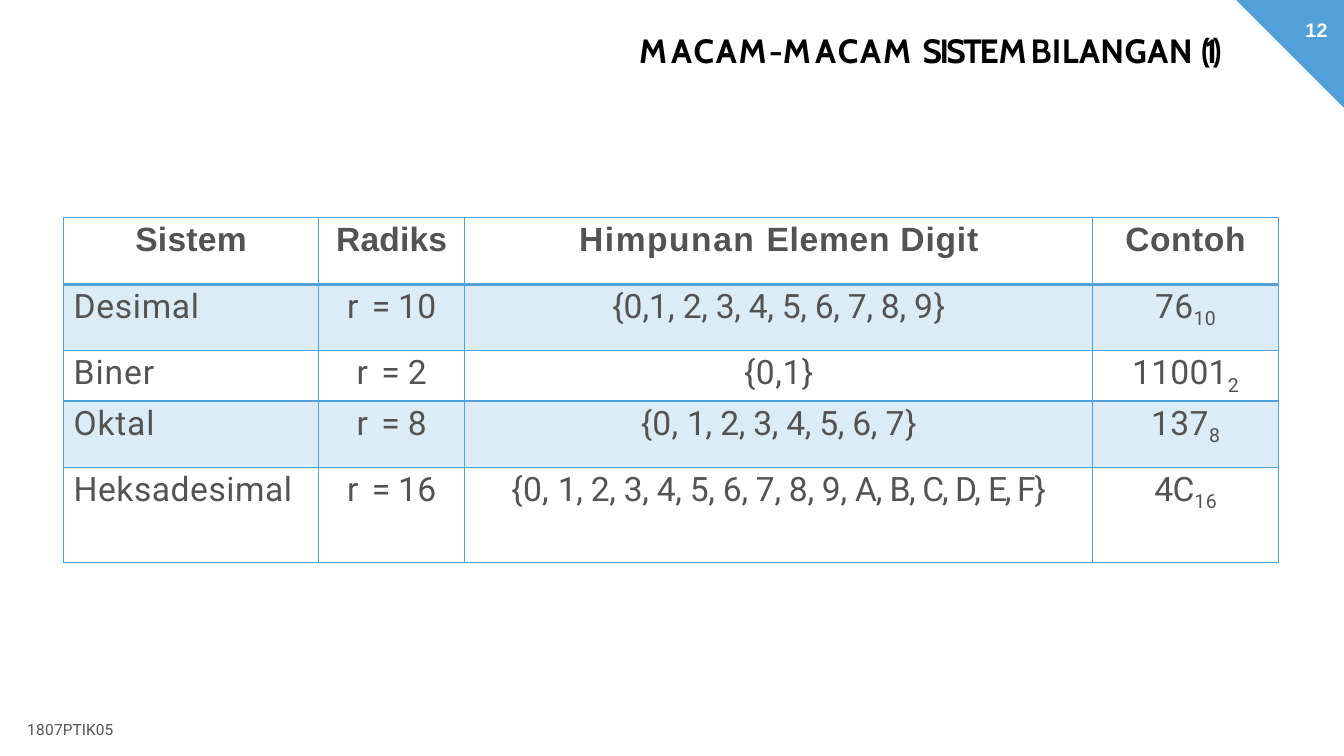
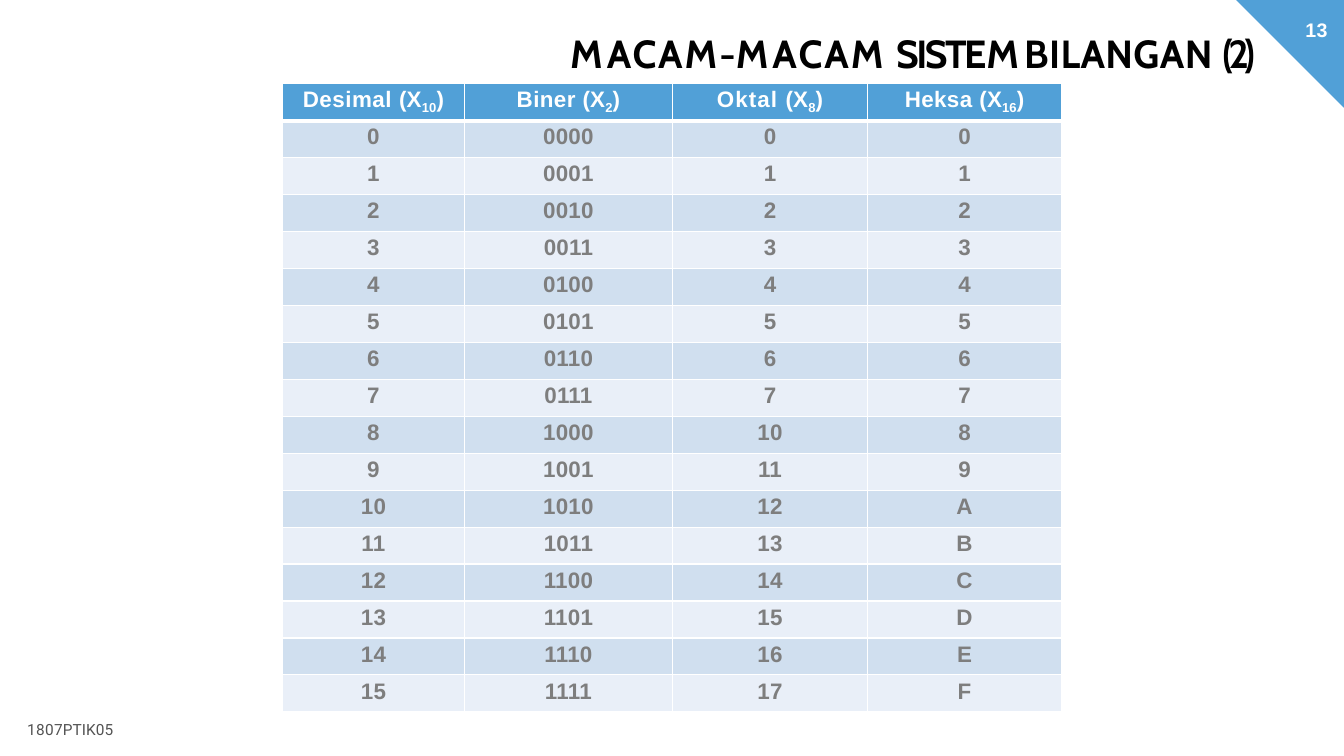
from lxml.etree import SubElement
from pptx import Presentation
from pptx.dml.color import RGBColor
from pptx.enum.text import MSO_ANCHOR, MSO_AUTO_SIZE, PP_ALIGN
from pptx.oxml.ns import qn
from pptx.util import Pt

COLORS = {
    "blue": "51A0D7", "pale": "DCECF7", "band": "D0DFEF", "light": "E9EFF8",
    "text": "535353", "digit": "7E7E7E", "black": "000000", "white": "FFFFFF",
}
WIDTH, HEIGHT = 960, 540
CORNER = 77
SUBSCRIPT = -21

# Runs are (text, letter spacing in points[, baseline in percent])
TITLE = [("M", 2.9), ("ACA", 1.3), ("M", 1.6), ("-", -5), ("M", 2.9), ("A", 1.3),
         ("CAM ", 1.4), ("SISTE", -1.8), ("M ", -2.6), ("BILANGAN ", 0.3)]
FOOTER = [("180", 0.2), ("7", 0.1), ("P", -0.8), ("T", -0.5), ("I", -0.2),
          ("K", -0.7), ("05", 0.2)]

SYSTEM_HEADS = [
    [("Sistem", 0.2)],
    [("Radiks", 0.1)],
    [("Himpunan ", 1.1), ("Elemen ", 0.5), ("Digit", 0.6)],
    [("Contoh", 0.4)],
]
# Name run, radix, digit set, example, example spacing
SYSTEMS = [
    (("Desimal", 0.5), "10",
     [("{0,1,", 0), (" 2, 3, 4, 5, 6, 7, 8, ", -0.2), ("9}", 0.7)], "76", 0.2),
    (("Biner", 0.7), "2", [("{0,1}", 0.4)], "11001", 0.2),
    (("Oktal", 0.6), "8",
     [("{0, ", 0.2), ("1, ", -0.2), ("2, ", -0.3), ("3, 4, 5, 6, ", -0.2), ("7}", 0.7)],
     "137", 0.3),
    (("Heksadesimal", 0.4), "16",
     [("{0, ", 0.2), ("1, 2, 3, 4, 5, 6, 7, 8, 9, ", -0.2), ("A, ", -0.8), ("B, ", -1.1),
      ("C, ", -1.5), ("D, ", -0.8), ("E, ", -1.8), ("F}", -0.7)], "4C", -0.4),
]
# Name, radix, spacing and number format of each conversion column
BASES = [("Desimal ", "10", 0.4, "d"), ("Biner ", "2", 0.3, "04b"),
         ("Oktal ", "8", 0.8, "o"), ("Heksa ", "16", 0.3, "X")]


def rgb(name):
    return RGBColor.from_string(COLORS[name])


def write_text(frame, runs, *, size, font, color, bold=False, align=PP_ALIGN.LEFT,
               before=1, top=1, indent=0):
    """Fill a text frame or table cell with one paragraph of runs."""
    frame.margin_left = frame.margin_right = frame.margin_bottom = 0
    frame.margin_top = Pt(top)
    frame.vertical_anchor = MSO_ANCHOR.TOP
    para = getattr(frame, "text_frame", frame).paragraphs[0]
    para.alignment = align
    para.space_before = Pt(before)
    if indent:
        para._p.get_or_add_pPr().set("marL", str(Pt(indent)))
    for text, spacing, *baseline in runs:
        span = para.add_run()
        span.text = text
        span.font.size, span.font.name, span.font.bold = Pt(size), font, bold
        span.font.color.rgb = rgb(color)
        properties = span._r.get_or_add_rPr()
        properties.set("spc", str(round(spacing * 100)))
        if baseline:
            properties.set("baseline", str(baseline[0] * 1000))


def place_text(box, position, runs, **text_format):
    box.left, box.top, box.width, box.height = map(Pt, position)
    frame = box.text_frame
    frame.word_wrap = True
    frame.auto_size = MSO_AUTO_SIZE.SHAPE_TO_FIT_TEXT
    write_text(frame, runs, **text_format)


def add_text(page, position, runs, **text_format):
    box = page.shapes.add_textbox(*map(Pt, position))
    place_text(box, position, runs, **text_format)


def add_page(deck, number, part, title_position, **title_format):
    """Add a page with its corner, number, footer and title."""
    page = deck.slides.add_slide(deck.slide_layouts[5])
    outline = page.shapes.build_freeform(Pt(WIDTH), 0)
    outline.add_line_segments([(Pt(WIDTH - CORNER), 0), (Pt(WIDTH), Pt(CORNER))])
    corner = outline.convert_to_shape()
    corner.shadow.inherit = False
    corner.fill.solid()
    corner.fill.fore_color.rgb = rgb("blue")
    corner.line.fill.background()
    add_text(page, (931.7, 11.5, 18, 18.7), [(str(number), 0.2)],
             size=14, font="Arial", color="white", bold=True, indent=0.7)
    add_text(page, (18.7, 512.6, 62.6, 17.3), FOOTER,
             size=11, font="Roboto", color="text", before=1.8, top=2, indent=0.7)
    place_text(page.shapes.title, title_position, TITLE + [(f"({part})", -3.5)],
               font="Cabin", color="black", bold=True, indent=0.7, **title_format)
    return page


def set_borders(cell, color, **widths):
    """Draw the cell sides L, R, T and B in the given widths."""
    properties = cell._tc.get_or_add_tcPr()
    for side, width in widths.items():
        line = SubElement(properties, qn(f"a:ln{side}"), w=str(Pt(width)))
        fill = SubElement(line, qn("a:solidFill"))
        SubElement(fill, qn("a:srgbClr"), val=COLORS[color])


def add_grid(page, left, top, columns, heights, rows, *, border, rule, fills, style):
    """Add a table; fills holds the header, odd and even row fills."""
    shape = page.shapes.add_table(len(rows), len(columns), Pt(left), Pt(top),
                                  Pt(sum(columns)), Pt(sum(heights)))
    table = shape.table
    table.first_row = table.horz_banding = False
    for column, width in zip(table.columns, columns):
        column.width = Pt(width)
    for r, (height, row) in enumerate(zip(heights, rows)):
        table.rows[r].height = Pt(height)
        fill = fills[0] if r == 0 else fills[2 - r % 2]
        for c, runs in enumerate(row):
            cell = table.cell(r, c)
            set_borders(cell, border, L=1, R=1,
                        T=rule if r == 1 else 1, B=rule if r == 0 else 1)
            if fill:
                cell.fill.solid()
                cell.fill.fore_color.rgb = rgb(fill)
            else:
                cell.fill.background()
            write_text(cell, runs, **style(r, c))


def system_style(r, c):
    name = r > 0 and c == 0
    return dict(size=24, font="Roboto" if r else "Arial", color="text", bold=r == 0,
                align=PP_ALIGN.LEFT if name else PP_ALIGN.CENTER,
                indent=7.2 if name else 0, before=2.2, top=2.2)


def conversion_style(r, c):
    return dict(size=16, font="Arial", color="digit" if r else "white", bold=True,
                align=PP_ALIGN.CENTER, before=2.8, top=2.9)


def system_rows():
    rows = [SYSTEM_HEADS]
    for name, radix, digits, example, spacing in SYSTEMS:
        rows.append([[name], [("r ", 1.8), ("= ", -0.3), (radix, 0.3)], digits,
                     [(example, spacing), (radix, 0.3, SUBSCRIPT)]])
    return rows


def conversion_rows():
    rows = [[[(name, spacing), ("(X", 0.1), (radix, 0.1, SUBSCRIPT), (")", 0.1)]
             for name, radix, spacing, _ in BASES]]
    for value in range(16):
        numerals = [format(value, base[3]) for base in BASES]
        rows.append([[(text, 0.2 if len(text) > 1 else 0)] for text in numerals])
    return rows


def main():
    deck = Presentation()
    deck.slide_width, deck.slide_height = Pt(WIDTH), Pt(HEIGHT)

    # Number systems
    page = add_page(deck, 12, 1, (455.8, 20.2, 475.2, 30.2), size=24)
    add_grid(page, 45.4, 155.5, [182.2, 104.4, 448.6, 132.5],
             [47.5, 47.5, 36, 47.5, 67.7], system_rows(), border="blue", rule=2.25,
             fills=(None, "pale", None), style=system_style)

    # Conversion of 0 to 15
    page = add_page(deck, 13, 2, (36, 20.2, 860.4, 35.3), size=28, align=PP_ALIGN.RIGHT)
    add_grid(page, 201.9, 59.8, [129.6, 149, 139, 139], [26.4] * 17, conversion_rows(),
             border="white", rule=3, fills=("blue", "band", "light"),
             style=conversion_style)

    deck.save("out.pptx")


if __name__ == "__main__":
    main()
